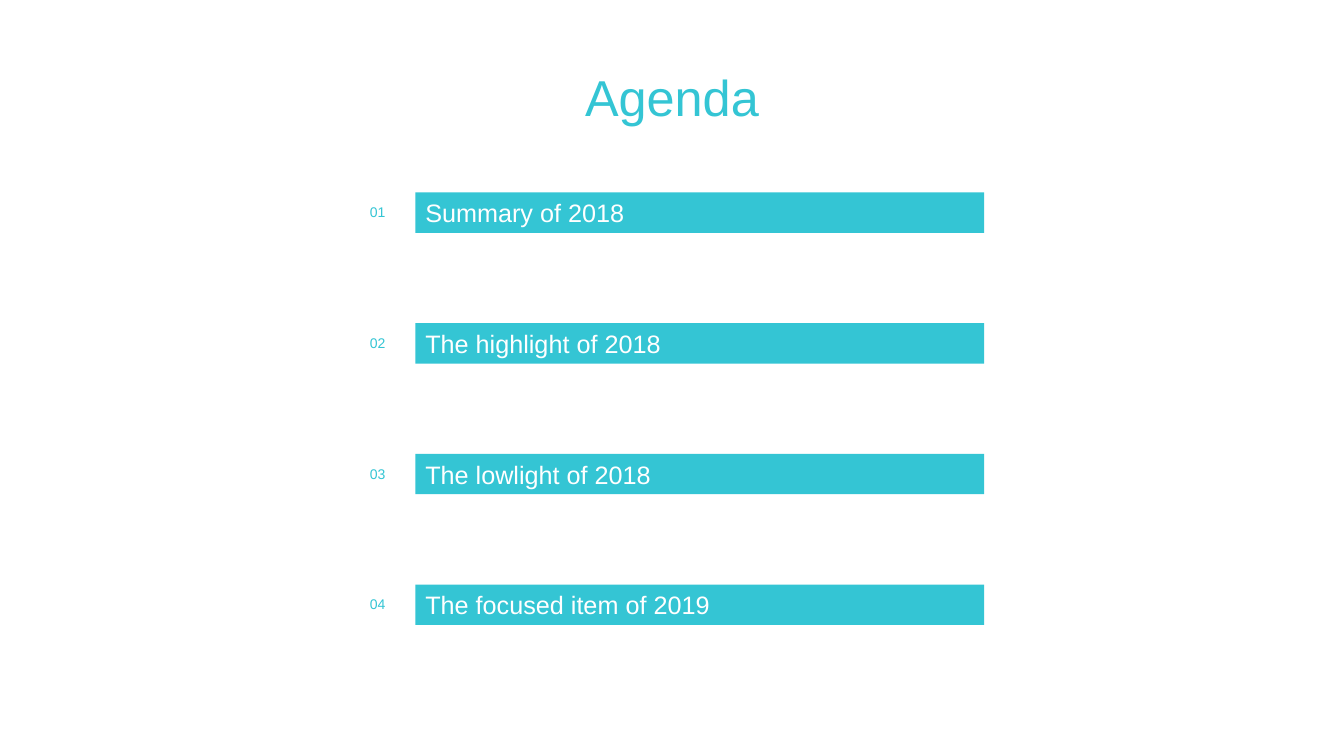
from dataclasses import dataclass

from pptx import Presentation
from pptx.dml.color import RGBColor
from pptx.enum.shapes import MSO_SHAPE
from pptx.enum.text import MSO_ANCHOR, PP_ALIGN
from pptx.text.text import TextFrame
from pptx.util import Inches, Pt

TEAL = RGBColor(0x34, 0xC5, 0xD4)
WHITE = RGBColor(0xFF, 0xFF, 0xFF)
FONT = "Arial"
TOP = 1.91
STEP = 1.297


@dataclass
class Item:
    number: str
    title: str


ITEMS = [
    Item("01", "Summary of 2018"),
    Item("02", "The highlight of 2018"),
    Item("03", "The lowlight of 2018"),
    Item("04", "The focused item of 2019"),
]


def write(frame: TextFrame, text: str, size: int, color: RGBColor,
          align: PP_ALIGN = PP_ALIGN.LEFT, spacing: float = 1.0) -> None:
    frame.word_wrap = True
    para = frame.paragraphs[0]
    para.alignment = align
    para.line_spacing = spacing
    run = para.add_run()
    run.text = text
    run.font.name = FONT
    run.font.size = Pt(size)
    run.font.color.rgb = color


def draw_item(slide, item: Item, top: float) -> None:
    group = slide.shapes.add_group_shape()
    label = group.shapes.add_textbox(
        Inches(3.57), Inches(top + 0.06), Inches(0.4), Inches(0.28))
    write(label.text_frame, item.number, 10, TEAL)
    bar = group.shapes.add_shape(
        MSO_SHAPE.RECTANGLE, Inches(4.12), Inches(top), Inches(5.64), Inches(0.4))
    bar.shadow.inherit = False
    bar.fill.solid()
    bar.fill.fore_color.rgb = TEAL
    bar.line.fill.background()
    bar.text_frame.vertical_anchor = MSO_ANCHOR.MIDDLE
    write(bar.text_frame, item.title, 18, WHITE)


def main() -> None:
    deck = Presentation()
    deck.slide_width = Inches(13.33)
    deck.slide_height = Inches(7.5)
    slide = deck.slides.add_slide(deck.slide_layouts[6])
    for index, item in enumerate(ITEMS):
        draw_item(slide, item, TOP + index * STEP)
    title = slide.shapes.add_textbox(
        Inches(5.01), Inches(0.43), Inches(3.31), Inches(0.89))
    write(title.text_frame, "Agenda", 36, TEAL, PP_ALIGN.CENTER, 1.3)
    deck.save("out.pptx")


if __name__ == "__main__":
    main()
